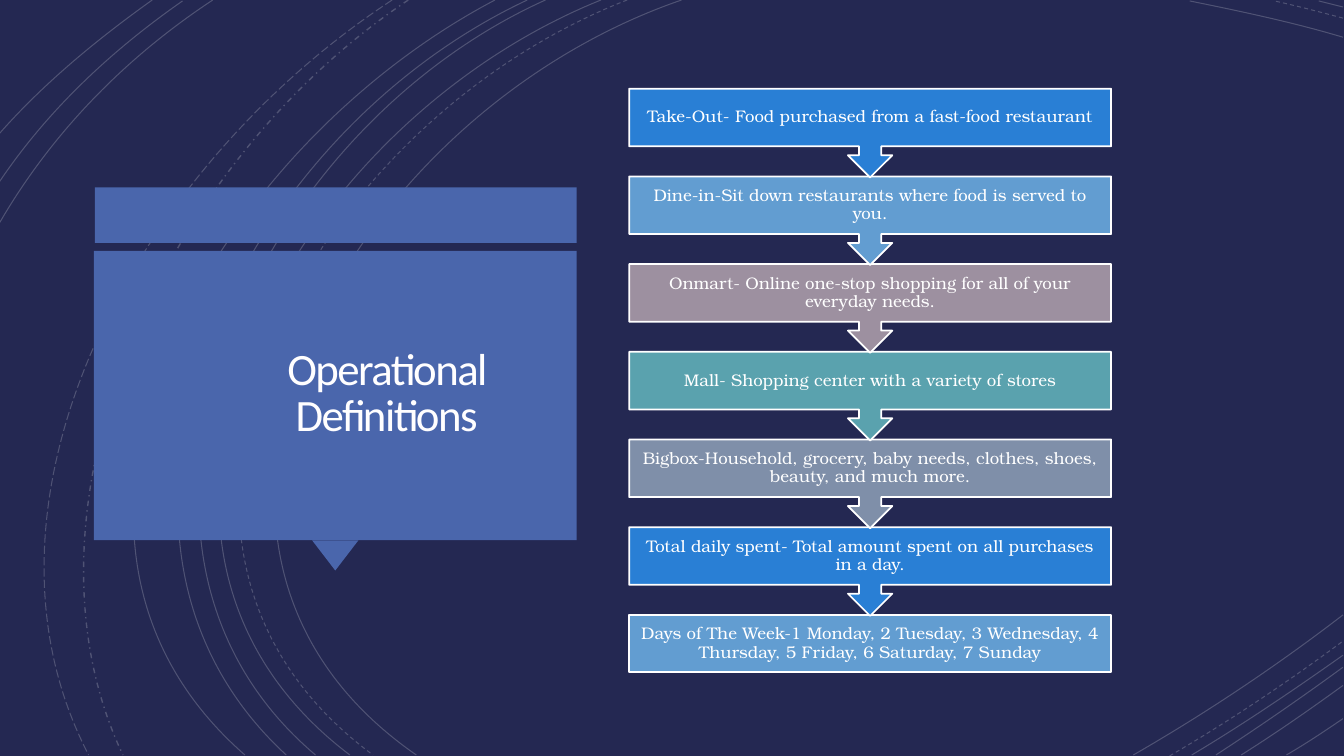
from lxml.etree import SubElement
from pptx import Presentation
from pptx.dml.color import RGBColor
from pptx.enum.dml import MSO_LINE as Dash
from pptx.enum.shapes import MSO_SHAPE as Preset
from pptx.enum.text import MSO_ANCHOR as Anchor, PP_ALIGN as Align
from pptx.oxml.ns import qn
from pptx.util import Inches, Pt

NAVY = RGBColor(0x24, 0x28, 0x52)
INDIGO = RGBColor(0x4A, 0x66, 0xAC)
BLUE = RGBColor(0x29, 0x7F, 0xD5)
SKY = RGBColor(0x62, 0x9D, 0xD1)
MAUVE = RGBColor(0x9D, 0x90, 0xA0)
TEAL = RGBColor(0x5A, 0xA2, 0xAE)
SLATE = RGBColor(0x7F, 0x8F, 0xA9)
WHITE = RGBColor(0xFF, 0xFF, 0xFF)
SOFT_WHITE = RGBColor(0xFF, 0xFE, 0xFF)

TITLE = "Operational Definitions"
DEFINITIONS = [
    ("Take-Out- Food purchased from a fast-food restaurant", BLUE),
    ("Dine-in-Sit down restaurants where food is served to you.", SKY),
    ("Onmart- Online one-stop shopping for all of your everyday needs.", MAUVE),
    ("Mall- Shopping center with a variety of stores", TEAL),
    ("Bigbox-Household, grocery, baby needs, clothes, shoes, beauty, and much more.", SLATE),
    ("Total daily spent- Total amount spent on all purchases in a day.", BLUE),
    ("Days of The Week-1 Monday, 2 Tuesday, 3 Wednesday, 4 Thursday, "
     "5 Friday, 6 Saturday, 7 Sunday", SKY),
]

SOLID_ARCS = [
    [(6.76, 0), (3.41, 1.15), (1.11, 5.4), (4.13, 7.49)],
    [(13.32, 0.37), (12.82, 0.22), (12.29, 0.11), (11.8, 0.01)],
    [(11.24, 7.49), (11.97, 7.07), (12.67, 6.6), (13.32, 6.1)],
    [(5.96, 0), (2.81, 1.27), (0.67, 5.37), (3.47, 7.49)],
    [(13.32, 0.07), (13.24, 0.05), (13.16, 0.03), (13.08, 0.01)],
    [(11.82, 7.49), (12.34, 7.18), (12.84, 6.84), (13.32, 6.5)],
    [(5.41, 0), (2.46, 1.33), (0.67, 5.41), (3.13, 7.49)],
    [(12.06, 7.49), (12.49, 7.21), (12.91, 6.92), (13.32, 6.62)],
    [(5.23, 0), (2.29, 1.38), (0.5, 5.34), (2.84, 7.49)],
    [(12.31, 7.49), (12.66, 7.27), (12.99, 7.04), (13.32, 6.8)],
    [(4.91, 0), (2.11, 1.47), (-0.09, 5.29), (2.43, 7.49)],
    [(12.76, 7.49), (12.95, 7.38), (13.13, 7.26), (13.32, 7.13)],
    [(2.11, 0), (1.17, 0.62), (0.47, 1.39), (-0.01, 2.22)],
    [(1.81, 0.01), (1.05, 0.54), (0.44, 1.14), (-0.01, 1.81)],
    [(1.51, 0), (0.95, 0.4), (0.42, 0.84), (-0.01, 1.33)],
]
DASHED_ARCS = [
    [(6.22, 0), (3.01, 1.25), (0.84, 5.38), (3.7, 7.49)],
    [(13.32, 0.18), (13.09, 0.12), (12.87, 0.06), (12.64, 0.01)],
    [(11.6, 7.5), (12.2, 7.15), (12.78, 6.76), (13.32, 6.36)],
]
DASH_DOT_ARCS = [[(4.05, 0), (1.56, 1.66), (0.08, 5.09), (1.22, 7.49)]]
LONG_DASH_ARCS = [[(3.89, 0), (1.31, 1.69), (-0.42, 4.99), (0.88, 7.49)]]
ARC_STYLES = [
    (SOLID_ARCS, Dash.SOLID, 0.75),
    (DASHED_ARCS, Dash.DASH, 0.75),
    (DASH_DOT_ARCS, Dash.DASH_DOT, 1),
    (LONG_DASH_ARCS, Dash.LONG_DASH, 0.75),
]

PANEL_LEFT, PANEL_WIDTH = 0.93, 4.79
FLOW_LEFT, FLOW_TOP, FLOW_WIDTH = 6.24, 0.88, 4.78
ROW_STEP, CALLOUT_HEIGHT, BOX_HEIGHT = 0.87, 0.88, 0.57


def add_arc(page, points, dash, width):
    start, *rest = [(Inches(x), Inches(y)) for x, y in points]
    builder = page.shapes.build_freeform(*start, scale=1.0)
    builder.add_line_segments(rest, close=False)
    arc = builder.convert_to_shape()
    arc.shadow.inherit = False
    arc.fill.background()
    arc.line.color.rgb = WHITE
    arc.line.width = Pt(width)
    arc.line.dash_style = dash
    color = next(arc.line._ln.iter(qn("a:srgbClr")))
    SubElement(color, qn("a:alpha"), val="20000")
    segments = list(arc._element.iter(qn("a:lnTo")))
    curve = SubElement(segments[0].getparent(), qn("a:cubicBezTo"))
    for segment in segments:
        curve.append(segment[0])
        segment.getparent().remove(segment)


def add_block(page, preset, left, top, width, height, fill, outline=None):
    block = page.shapes.add_shape(
        preset, Inches(left), Inches(top), Inches(width), Inches(height))
    block.shadow.inherit = False
    block.fill.solid()
    block.fill.fore_color.rgb = fill
    if outline is None:
        block.line.fill.background()
    else:
        block.line.color.rgb = outline
        block.line.width = Pt(1.25)
    return block


def write(box, text, *, font, size, color, inset, spacing, tracking=None):
    frame = box.text_frame
    frame.word_wrap = True
    frame.vertical_anchor = Anchor.MIDDLE
    frame.margin_left = frame.margin_right = Inches(inset)
    frame.margin_top = frame.margin_bottom = Inches(inset)
    para = frame.paragraphs[0]
    para.alignment = Align.CENTER
    para.line_spacing = spacing
    span = para.add_run()
    span.text = text
    span.font.name = font
    span.font.size = Pt(size)
    span.font.color.rgb = color
    if tracking is not None:
        span.font._element.set("spc", str(round(tracking * 100)))


def add_title(page):
    add_block(page, Preset.RECTANGLE, PANEL_LEFT + 0.01, 1.86, PANEL_WIDTH - 0.01, 0.55, INDIGO)
    pointer = add_block(page, Preset.ISOSCELES_TRIANGLE,
                        PANEL_LEFT + PANEL_WIDTH / 2 - 0.23, 5.36, 0.46, 0.3, INDIGO)
    pointer.rotation = 180
    add_block(page, Preset.RECTANGLE, PANEL_LEFT, 2.49, PANEL_WIDTH, 2.87, INDIGO)
    box = page.shapes.add_textbox(Inches(2.4), Inches(2.57), Inches(2.87), Inches(2.69))
    write(box, TITLE, font="Calibri", size=32, color=SOFT_WHITE,
          inset=0.25, spacing=0.85, tracking=-1.1)


def add_flow(page):
    last = len(DEFINITIONS) - 1
    for row, (text, fill) in reversed(list(enumerate(DEFINITIONS))):
        preset, height = Preset.DOWN_ARROW_CALLOUT, CALLOUT_HEIGHT
        if row == last:
            preset, height = Preset.RECTANGLE, BOX_HEIGHT
        step = add_block(page, preset, FLOW_LEFT, FLOW_TOP + row * ROW_STEP,
                         FLOW_WIDTH, height, fill, WHITE)
        write(step, text, font="TeX Gyre Bonum", size=12, color=WHITE,
              inset=0.09, spacing=0.9)


def main():
    deck = Presentation()
    deck.slide_width, deck.slide_height = Inches(13.33), Inches(7.5)
    page = deck.slides.add_slide(deck.slide_layouts[6])
    page.background.fill.solid()
    page.background.fill.fore_color.rgb = NAVY
    for arcs, dash, width in ARC_STYLES:
        for points in arcs:
            add_arc(page, points, dash, width)
    add_title(page)
    add_flow(page)
    deck.save("out.pptx")


if __name__ == "__main__":
    main()
